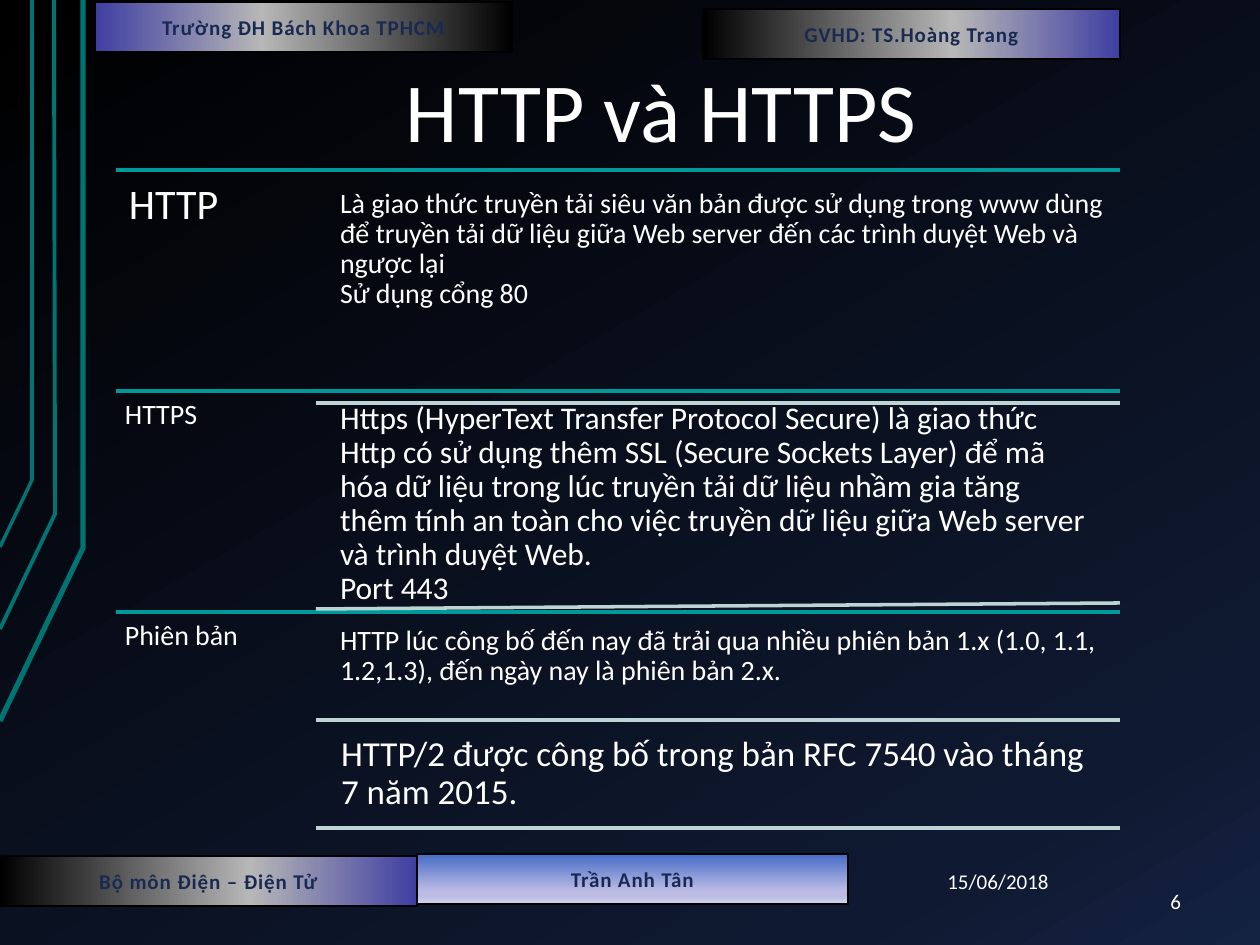
"""Build the slide that compares HTTP and HTTPS."""
import pptx
import pptx.dml.color
import pptx.enum.shapes
import pptx.enum.text
import pptx.oxml.ns
import pptx.util
from lxml import etree

RGB = pptx.dml.color.RGBColor
ALIGN = pptx.enum.text.PP_ALIGN
ANCHOR = pptx.enum.text.MSO_ANCHOR
qn = pptx.oxml.ns.qn

WHITE = RGB(0xFF, 0xFF, 0xFF)
BLACK = RGB(0x00, 0x00, 0x00)
NAVY = RGB(0x19, 0x2A, 0x52)
TEAL = RGB(0x00, 0x99, 0x99)
PALE = RGB(0xBD, 0xD4, 0xD4)
TRACE = RGB(0x00, 0x73, 0x73)
NIGHT = [(0, BLACK), (85, RGB(0x0F, 0x19, 0x31)), (100, RGB(0x14, 0x22, 0x42))]
STEEL = [(0, RGB(0x3F, 0x3F, 0xA2)), (40, RGB(0xB7, 0xB7, 0xB7)), (100, BLACK)]
LILAC = [(0, RGB(0x46, 0x6C, 0xC7)), (74, RGB(0xBB, 0xBB, 0xE4)),
         (83, RGB(0xBB, 0xBB, 0xE4)), (100, RGB(0xD2, 0xD2, 0xED))]

TRACES = [([(0, 721), (83, 548), (83, 0)], 3),
          ([(0, 629), (55, 514), (54, 0)], 2.25),
          ([(0, 547), (32, 480), (32, 0)], 2)]

BARS = [("Trần Anh Tân", (417, 854, 431, 50), LILAC, 90),
        ("Bộ môn Điện – Điện Tử", (0, 856, 417, 50), STEEL, 180),
        ("Trường ĐH Bách Khoa TPHCM", (95, 2, 417, 50), STEEL, 0),
        ("GVHD: TS.Hoàng Trang", (703, 9, 417, 50), STEEL, 180)]

RULES = [(116, 170, 170, TEAL), (116, 391, 391, TEAL), (116, 612, 612, TEAL),
         (316, 403, 403, PALE), (316, 609, 603, PALE),
         (316, 720, 720, PALE), (316, 828, 828, PALE)]

CELLS = [
    ("HTTP", (116, 170, 201, 221), 24, 13),
    ("Là giao thức truyền tải siêu văn bản được sử dụng trong www dùng để "
     "truyền tải dữ liệu giữa Web server đến các trình duyệt Web và ngược lại"
     "\vSử dụng cổng 80", (331, 180, 789, 200), 16, 9),
    ("HTTPS", (116, 391, 201, 221), 16, 9),
    ("Https (HyperText Transfer Protocol Secure) là giao thức Http có sử dụng "
     "thêm SSL (Secure Sockets Layer) để mã hóa dữ liệu trong lúc truyền tải "
     "dữ liệu nhầm gia tăng thêm tính an toàn cho việc truyền dữ liệu giữa "
     "Web server và trình duyệt Web.\vPort 443", (331, 393, 773, 209), 18, 9),
    ("Phiên bản", (116, 612, 201, 221), 16, 9),
    ("HTTP lúc công bố đến nay đã trải qua nhiều phiên bản 1.x (1.0, 1.1, "
     "1.2,1.3), đến ngày nay là phiên bản 2.x.", (331, 617, 789, 103), 16, 9),
    ("HTTP/2 được công bố trong bản RFC 7540 vào tháng 7 năm 2015.",
     (331, 726, 789, 103), 20, 10),
]


def px(*nums):
    """Turn pixels into a list of EMU lengths."""
    return [pptx.util.Emu(round(n * 914400 / 126)) for n in nums]


def shade(fill, root, stops, angle):
    """Give a fill a linear gradient with a clockwise angle."""
    fill.gradient()
    grad = root.find(".//" + qn("a:gradFill"))
    bag = grad.find(qn("a:gsLst"))
    for old in list(bag):
        bag.remove(old)
    for pos, tint in stops:
        stop = etree.SubElement(bag, qn("a:gs"), pos=str(pos * 1000))
        etree.SubElement(stop, qn("a:srgbClr"), val=str(tint))
    grad.find(qn("a:lin")).set("ang", str(angle * 60000))


def write(shape, text, size, color=WHITE, align=ALIGN.CENTER,
          anchor=ANCHOR.MIDDLE, pad=(16, 9)):
    """Fill a shape with one formatted paragraph."""
    frame = shape.text_frame
    frame.text = text
    frame.word_wrap = True
    frame.auto_size = pptx.enum.text.MSO_AUTO_SIZE.NONE
    frame.vertical_anchor = anchor
    frame.margin_left, frame.margin_top = px(*pad)
    frame.margin_right, frame.margin_bottom = px(*pad)
    para = frame.paragraphs[0]
    para.alignment = align
    for run in para.runs:
        run.font.name = "Calibri"
        run.font.size = pptx.util.Pt(size)
        run.font.color.rgb = color
    return para


def trace(slide, points, width):
    """Draw one bent circuit line at the left edge."""
    pen = slide.shapes.build_freeform(*points[0], scale=914400 / 126)
    pen.add_line_segments(points[1:], close=False)
    shape = pen.convert_to_shape()
    shape.shadow.inherit = False
    shape.fill.background()
    shape.line.color.rgb = TRACE
    shape.line.width = pptx.util.Pt(width)


def bar(slide, text, box, stops, angle):
    """Add a gradient name bar."""
    rect = pptx.enum.shapes.MSO_SHAPE.RECTANGLE
    shape = slide.shapes.add_shape(rect, *px(*box))
    shape.shadow.inherit = False
    shade(shape.fill, shape.element, stops, angle)
    shape.line.color.rgb = BLACK
    shape.line.width = pptx.util.Pt(0.75)
    for run in write(shape, text, 12, NAVY).runs:
        run.font.bold = True
        run.font.element.set("spc", "50") if hasattr(run.font, "element") \
            else run.font.bold
    for props in shape.element.iter(qn("a:rPr")):
        props.set("spc", "50")


def rule(slide, left, start, end, color):
    """Draw a divider that ends at the right edge of the list."""
    kind = pptx.enum.shapes.MSO_CONNECTOR.STRAIGHT
    line = slide.shapes.add_connector(kind, *px(left, start, 1120, end))
    line.line.color.rgb = color
    line.line.width = pptx.util.Pt(2)
    etree.SubElement(line.element.spPr, qn("a:effectLst"))


def cell(slide, text, box, size, pad):
    """Add a top-aligned text cell."""
    shape = slide.shapes.add_textbox(*px(*box))
    para = write(shape, text, size, align=ALIGN.LEFT, anchor=ANCHOR.TOP,
                 pad=(pad, pad))
    para.line_spacing = 0.9


def note(slide, text, box, align):
    """Add a small footer text."""
    write(slide.shapes.add_textbox(*px(*box)), text, 12, align=align)


def head(slide, text, box):
    """Place and fill the title."""
    title = slide.shapes.title
    title.left, title.top, title.width, title.height = px(*box)
    write(title, text, 48, anchor=ANCHOR.BOTTOM)


def main():
    """Build and save the slide."""
    deck = pptx.Presentation()
    deck.slide_width, deck.slide_height = px(1260, 945)
    slide = deck.slides.add_slide(deck.slide_layouts[5])
    shade(slide.background.fill, slide.element, NIGHT, 60)
    for item in TRACES:
        trace(slide, *item)
    head(slide, "HTTP và HTTPS", (126, 38, 1071, 130))
    note(slide, "15/06/2018", (851, 856, 294, 50), ALIGN.CENTER)
    note(slide, "6", (1092, 876, 105, 50), ALIGN.RIGHT)
    for item in BARS:
        bar(slide, *item)
    for item in RULES:
        rule(slide, *item)
    for item in CELLS:
        cell(slide, *item)
    deck.save("out.pptx")


if __name__ == "__main__":
    main()
